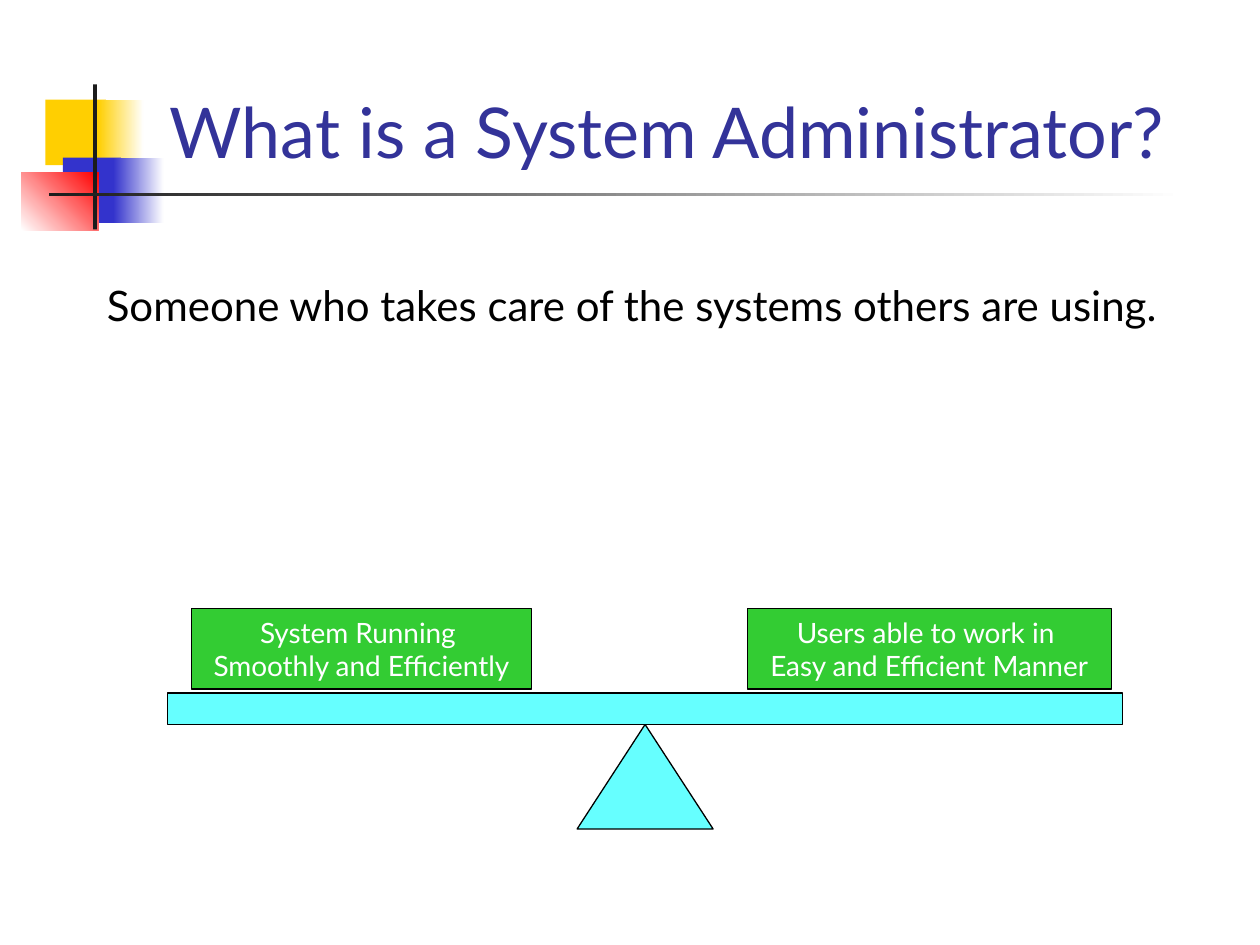
"""Build a slide that shows system administration as a balance of two duties."""
from dataclasses import dataclass
from typing import Optional

from pptx import Presentation
from pptx.dml.color import RGBColor
from pptx.enum.shapes import MSO_SHAPE
from pptx.enum.text import MSO_ANCHOR, PP_ALIGN
from pptx.util import Inches, Pt

RECTANGLE, TRIANGLE = MSO_SHAPE.RECTANGLE, MSO_SHAPE.ISOSCELES_TRIANGLE
TOP, MIDDLE, BOTTOM = MSO_ANCHOR.TOP, MSO_ANCHOR.MIDDLE, MSO_ANCHOR.BOTTOM
LEFT, CENTER = PP_ALIGN.LEFT, PP_ALIGN.CENTER

FONT = "Lato"
BLACK = RGBColor(0x00, 0x00, 0x00)
WHITE = RGBColor(0xFF, 0xFF, 0xFF)
YELLOW = RGBColor(0xFF, 0xCF, 0x01)
BLUE = RGBColor(0x33, 0x33, 0xCC)
RED = RGBColor(0xFF, 0x00, 0x00)
CHARCOAL = RGBColor(0x1C, 0x1C, 0x1C)
NAVY = RGBColor(0x33, 0x33, 0x99)
CYAN = RGBColor(0x66, 0xFF, 0xFF)
GREEN = RGBColor(0x33, 0xCC, 0x33)


@dataclass(frozen=True)
class Block:
    """A filled shape; a second colour makes its fill a gradient."""
    left: float
    top: float
    width: float
    height: float
    color: RGBColor
    end_color: Optional[RGBColor] = None
    angle: float = 0
    outlined: bool = False
    preset: MSO_SHAPE = RECTANGLE
    lines: tuple[str, ...] = ()


ORNAMENT = (
    Block(0.36, 0.79, 0.48, 0.52, YELLOW),
    Block(0.78, 0.79, 0.36, 0.52, YELLOW, WHITE),
    Block(0.5, 1.25, 0.46, 0.52, BLUE),
    Block(0.9, 1.25, 0.4, 0.52, BLUE, WHITE),
    Block(0.17, 1.37, 0.61, 0.46, WHITE, RED, 45),
    Block(0.74, 0.67, 0.03, 1.15, CHARCOAL),
    Block(0.39, 1.53, 9, 0.03, CHARCOAL, WHITE),
)
BALANCE = (
    Block(4.58, 5.75, 1.08, 0.83, CYAN, outlined=True, preset=TRIANGLE),
    Block(1.33, 5.5, 7.58, 0.25, CYAN, outlined=True),
    Block(1.52, 4.83, 2.7, 0.64, GREEN, outlined=True,
          lines=("System Running ", "Smoothly and Efficiently")),
    Block(5.93, 4.83, 2.89, 0.64, GREEN, outlined=True,
          lines=("Users able to work in ", "Easy and Efficient Manner")),
)


def write(frame, lines: tuple[str, ...], size: float, color: RGBColor,
          align: PP_ALIGN, anchor: MSO_ANCHOR, wrap: bool) -> None:
    """Write one paragraph for each line."""
    frame.word_wrap = wrap
    frame.vertical_anchor = anchor
    for index, line in enumerate(lines):
        para = frame.add_paragraph() if index else frame.paragraphs[0]
        para.alignment = align
        span = para.add_run()
        span.text = line
        span.font.name = FONT
        span.font.size = Pt(size)
        span.font.color.rgb = color


def draw_block(page, block: Block) -> None:
    """Draw a block with its fill, outline and label."""
    shape = page.shapes.add_shape(
        block.preset, Inches(block.left), Inches(block.top),
        Inches(block.width), Inches(block.height))
    shape.shadow.inherit = False
    if block.end_color is None:
        shape.fill.solid()
        shape.fill.fore_color.rgb = block.color
    else:
        shape.fill.gradient()
        shape.fill.gradient_angle = block.angle
        for stop, color in zip(shape.fill.gradient_stops,
                               (block.color, block.end_color)):
            stop.color.rgb = color
    if block.outlined:
        shape.line.color.rgb = BLACK
        shape.line.width = Pt(0.75)
    else:
        shape.line.fill.background()
    if block.lines:
        write(shape.text_frame, block.lines, 16, WHITE, CENTER, MIDDLE, False)


def add_text(page, left: float, top: float, width: float, height: float,
             text: str, size: float, color: RGBColor, anchor: MSO_ANCHOR):
    """Add a wrapped text box and return its paragraph."""
    box = page.shapes.add_textbox(
        Inches(left), Inches(top), Inches(width), Inches(height))
    write(box.text_frame, (text,), size, color, LEFT, anchor, True)
    return box.text_frame.paragraphs[0]


def main() -> None:
    """Build and save the deck."""
    deck = Presentation()
    deck.slide_width, deck.slide_height = Inches(10), Inches(7.5)
    page = deck.slides.add_slide(deck.slide_layouts[6])
    for block in ORNAMENT:
        draw_block(page, block)
    add_text(page, 1.25, 0.75, 8.52, 0.67,
             "What is a System Administrator?", 40, NAVY, BOTTOM)
    para = add_text(page, 0.75, 2.17, 8.83, 4.92,
                    "Someone who takes care of the systems others are using.",
                    24, BLACK, TOP)
    para.space_before = Pt(6)
    for block in BALANCE:
        draw_block(page, block)
    deck.save("out.pptx")


if __name__ == "__main__":
    main()
